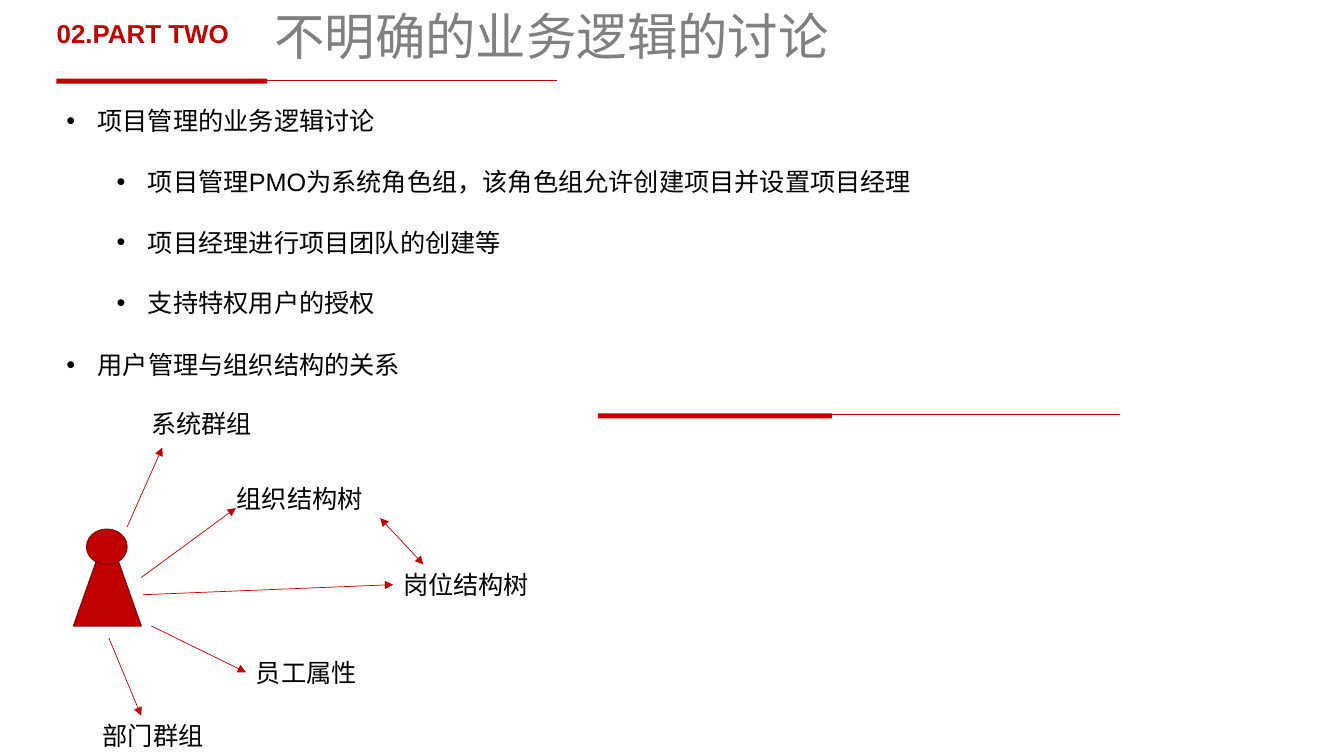
from lxml.etree import SubElement
from pptx import Presentation
from pptx.dml.color import RGBColor
from pptx.enum.shapes import MSO_CONNECTOR, MSO_SHAPE
from pptx.enum.text import MSO_ANCHOR, MSO_AUTO_SIZE, PP_ALIGN
from pptx.oxml.ns import qn
from pptx.util import Inches, Pt

RED, DARK_RED, GRAY, BLACK = "C00000", "8E0000", "808080", "000000"
FONT = "Arial"
BODY_SIZE = 18
LINE_GAP = 21.7
INDENT = 0.31
LABEL_HEIGHT = 0.4


def color(value):
    return RGBColor.from_string(value)


def style(para, size, value, bold=False):
    font = para.font
    font.name, font.size, font.bold = FONT, Pt(size), bold
    font.color.rgb = color(value)


def add_text(page, box, text, size=BODY_SIZE, value=BLACK, bold=False, wrap=True):
    shape = page.shapes.add_textbox(*map(Inches, box))
    frame = shape.text_frame
    frame.word_wrap = wrap
    para = frame.paragraphs[0]
    para.text = text
    style(para, size, value, bold)
    return para


def add_line(page, start, end, heads=()):
    line = page.shapes.add_connector(
        MSO_CONNECTOR.STRAIGHT, *map(Inches, (*start, *end)))
    line.line.color.rgb = color(RED)
    line.line.width = Pt(0.5)
    outline = line.line._get_or_add_ln()
    for head in heads:
        SubElement(outline, qn(f"a:{head}"), type="triangle")
    SubElement(line._element.spPr, qn("a:effectLst"))


def add_solid(page, kind, box, outlined=False):
    shape = page.shapes.add_shape(kind, *map(Inches, box))
    shape.shadow.inherit = False
    shape.fill.solid()
    shape.fill.fore_color.rgb = color(RED)
    if outlined:
        shape.line.color.rgb = color(DARK_RED)
        shape.line.width = Pt(1)
    else:
        shape.line.fill.background()


def add_rule(page, left, top, bar_width, line_left):
    line_top = top + 0.015
    add_line(page, (line_left, line_top), (line_left + 4.44, line_top))
    add_solid(page, MSO_SHAPE.RECTANGLE, (left, top, bar_width, 0.05))


def add_header(page, left, top):
    add_rule(page, left, top + 0.78, 2.09, left + 0.52)
    part = add_text(page, (left - 0.39, top + 0.16, 2.49, 0.59),
                    "02.PART TWO", 18.5, RED, True)
    part.alignment = PP_ALIGN.CENTER
    part.line_spacing = 0.9
    title = page.shapes.title
    title.left, title.top, title.width, title.height = map(
        Inches, (left + 2.06, top + 0.06, 6.82, 0.65))
    frame = title.text_frame
    frame.text = "不明确的业务逻辑的讨论"
    frame.auto_size = MSO_AUTO_SIZE.NONE
    frame.vertical_anchor = MSO_ANCHOR.BOTTOM
    para = frame.paragraphs[0]
    para.alignment = PP_ALIGN.LEFT
    para.line_spacing = 0.9
    style(para, 36, GRAY)


def add_bullets(page, box, items):
    frame = page.shapes.add_textbox(*map(Inches, box)).text_frame
    frame.word_wrap = True
    for index, (level, text) in enumerate(items):
        para = frame.add_paragraph() if index else frame.paragraphs[0]
        para.text = text
        para.level = level
        para.space_before = Pt(LINE_GAP if index else 0)
        properties = para._p.get_or_add_pPr()
        properties.set("marL", str(Inches(INDENT + level * 0.5)))
        properties.set("indent", str(-Inches(INDENT)))
        SubElement(properties, qn("a:buFont"), typeface=FONT)
        SubElement(properties, qn("a:buChar"), char="•")
        style(para, BODY_SIZE, BLACK)


def add_person(page, left, top):
    add_solid(page, MSO_SHAPE.FLOWCHART_EXTRACT, (left, top + 0.01, 0.67, 0.95), True)
    add_solid(page, MSO_SHAPE.OVAL, (left + 0.13, top, 0.4, 0.35), True)


def add_relations(page, left, top):
    add_person(page, left + 0.17, top + 1.25)
    labels = (
        ("系统群组", 0.84, 0),
        ("组织结构树", 1.69, 0.75),
        ("岗位结构树", 3.34, 1.6),
        ("员工属性", 1.88, 2.47),
        ("部门群组", 0.36, 3.1),
    )
    for text, across, down in labels:
        width = 0.2 + len(text) * 0.25
        add_text(page, (left + across, top + down, width, LABEL_HEIGHT), text, wrap=False)
    single, double = ("tailEnd",), ("headEnd", "tailEnd")
    arrows = (
        (0.7, 1.23, 1.05, 0.44, single),
        (0.84, 1.73, 1.78, 1.04, single),
        (0.86, 1.9, 3.34, 1.8, single),
        (0.94, 2.21, 1.88, 2.67, single),
        (0.52, 2.33, 0.84, 3.1, single),
        (3.21, 1.14, 3.64, 1.6, double),
    )
    for start_x, start_y, end_x, end_y, heads in arrows:
        add_line(page, (left + start_x, top + start_y),
                 (left + end_x, top + end_y), heads)


def main():
    deck = Presentation()
    deck.slide_width, deck.slide_height = Inches(13.33), Inches(7.5)
    page = deck.slides.add_slide(deck.slide_layouts[5])
    margin = 0.56
    add_rule(page, 5.93, 4.1, 2.32, 6.67)
    add_header(page, margin, 0)
    add_bullets(page, (margin, 1, 8.67, 2.6), (
        (0, "项目管理的业务逻辑讨论"),
        (1, "项目管理PMO为系统角色组，该角色组允许创建项目并设置项目经理"),
        (1, "项目经理进行项目团队的创建等"),
        (1, "支持特权用户的授权"),
    ))
    add_bullets(page, (margin, 3.42, 3.55, LABEL_HEIGHT),
                ((0, "用户管理与组织结构的关系"),))
    add_relations(page, margin, 4)
    deck.save("out.pptx")


if __name__ == "__main__":
    main()
